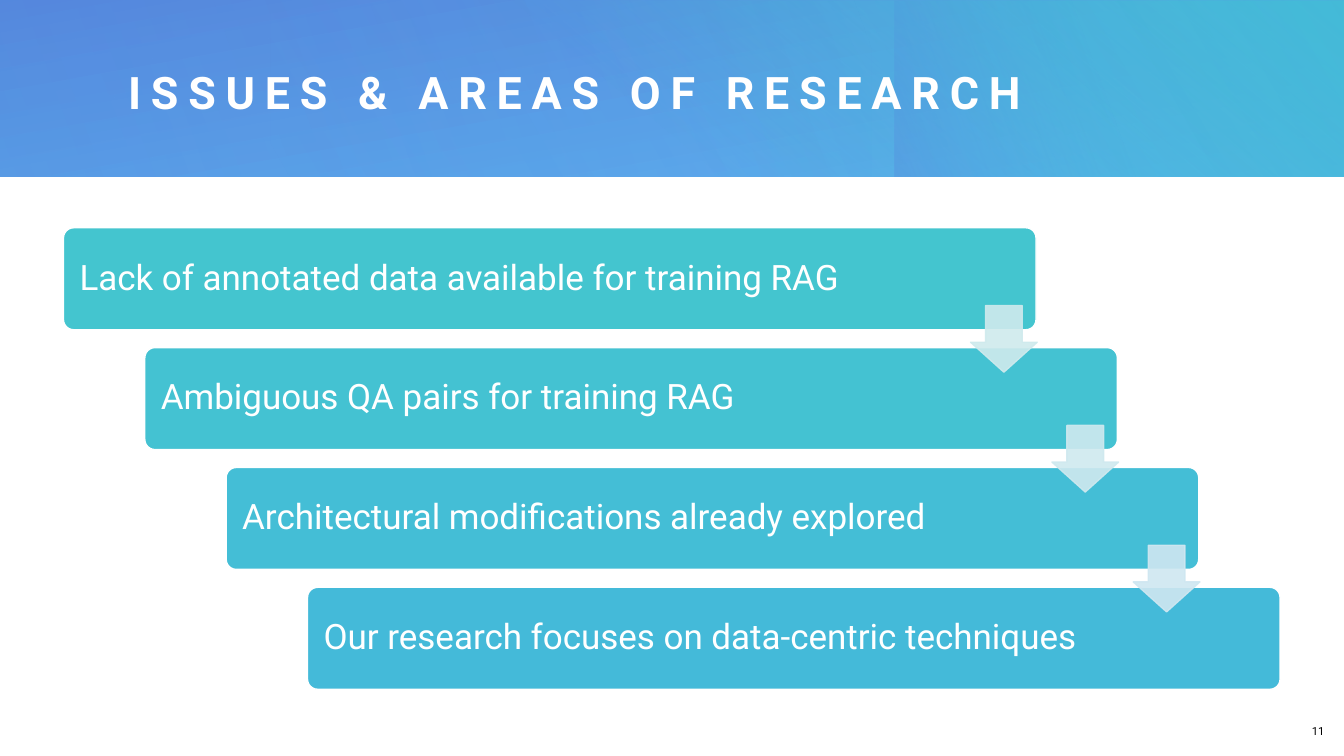
from lxml import etree
from pptx import Presentation
from pptx.dml.color import RGBColor
from pptx.enum.shapes import MSO_SHAPE
from pptx.enum.text import MSO_ANCHOR, PP_ALIGN
from pptx.oxml.ns import qn
from pptx.util import Cm, Pt

RECT, ROUND, ARROW = MSO_SHAPE.RECTANGLE, MSO_SHAPE.ROUNDED_RECTANGLE, MSO_SHAPE.DOWN_ARROW
MID = MSO_ANCHOR.MIDDLE
LEFT, RIGHT = PP_ALIGN.LEFT, PP_ALIGN.RIGHT

FONT = "Roboto"
WHITE = RGBColor(0xFF, 0xFF, 0xFF)
BLACK = RGBColor(0, 0, 0)
BLUE = RGBColor(0x45, 0xA5, 0xED)
SKY = RGBColor(0x45, 0xB0, 0xE3)
VIOLET = RGBColor(0x59, 0x82, 0xDB)
TEAL = RGBColor(0x44, 0xC5, 0xCF)

TITLE = "ISSUES & AREAS OF RESEARCH"
NUMBER = "11"
STEPS = [
    ("Lack of annotated data available for training RAG", TEAL),
    ("Ambiguous QA pairs for training RAG", RGBColor(0x44, 0xC2, 0xD2)),
    ("Architectural modifications already explored", RGBColor(0x44, 0xBE, 0xD6)),
    ("Our research focuses on data-centric techniques", RGBColor(0x44, 0xBA, 0xD9)),
]
ARROWS = [RGBColor(0xCF, 0xEA, 0xED), RGBColor(0xCF, 0xE9, 0xEF), RGBColor(0xCF, 0xE7, 0xF1)]

# Header layers: box in cm, rotation, gradient angle, stops (position %, colour, opacity %)
LAYERS = [
    ((0, 0, 33.87, 4.45), 0, 260, [(0, BLUE, 83), (100, VIOLET, 100)]),
    ((12.22, 0.02, 21.65, 4.43), 0, 310, [(22, TEAL, 0), (99, TEAL, 100)]),
    ((25.07, -2.52, 4.45, 9.5), 270, 250, [(45, SKY, 0), (99, VIOLET, 33)]),
    ((6.82, 0, 27.04, 4.45), 180, 330, [(0, BLUE, 30), (99, BLUE, 0)]),
    ((0, 0, 21.97, 4.45), 0, 340, [(0, BLUE, 21), (99, BLUE, 0)]),
]

CARD = (1.6, 5.74, 24.51, 2.57)
HEAD = (24.46, 7.7, 1.68, 1.68)
DX, DY = 2.05, 3.02


def node(up, tag, **attrs):
    return etree.SubElement(up, qn(tag), attrs)


def fade(fill, alpha):
    """Set the opacity, in percent, of a solid fill."""
    color = fill._xPr.find(qn("a:solidFill"))[0]
    node(color, "a:alpha", val=str(alpha * 1000))


def blend(shape, angle, stops):
    """Fill a shape with a linear gradient, its angle clockwise."""
    shape.fill.gradient()
    grad = shape.fill._xPr.find(qn("a:gradFill"))
    for child in list(grad):
        grad.remove(child)
    row = node(grad, "a:gsLst")
    for pos, color, alpha in stops:
        stop = node(row, "a:gs", pos=str(pos * 1000))
        tint = node(stop, "a:srgbClr", val=str(color))
        node(tint, "a:alpha", val=str(alpha * 1000))
    node(grad, "a:lin", ang=str(angle * 60000), scaled="0")


def draw(kind, box, color=None, line=None):
    shape = slide.shapes.add_shape(kind, *map(Cm, box))
    shape.shadow.inherit = False
    if color is not None:
        shape.fill.solid()
        shape.fill.fore_color.rgb = color
    if line is None:
        shape.line.fill.background()
    else:
        shape.line.color.rgb = line
        shape.line.width = Pt(1)
    return shape


def write(shape, text, size, color, pads, align=LEFT, space=0.9):
    frame = shape.text_frame
    frame.word_wrap = True
    frame.vertical_anchor = MID
    frame.margin_left, frame.margin_top, frame.margin_right, frame.margin_bottom = map(Cm, pads)
    para = frame.paragraphs[0]
    para.alignment = align
    para.line_spacing = space
    run = para.add_run()
    run.text = text
    run.font.name = FONT
    run.font.size = Pt(size)
    run.font.color.rgb = color
    return run


def shift(box, i):
    x, y, w, h = box
    return x + i * DX, y + i * DY, w, h


deck = Presentation()
deck.slide_width, deck.slide_height = Cm(33.87), Cm(19.05)
slide = deck.slides.add_slide(deck.slide_layouts[6])

for box, turn, angle, stops in LAYERS:
    layer = draw(RECT, box)
    layer.rotation = turn
    blend(layer, angle, stops)

title = slide.shapes.add_textbox(Cm(3.23), Cm(1.04), Cm(28.83), Cm(2.69))
run = write(title, TITLE, 32, WHITE, (0, 0, 0, 0))
run.font.bold = True
run.font._element.set("spc", "700")

page = slide.shapes.add_textbox(Cm(32.41), Cm(17.81), Cm(1.22), Cm(1.24))
write(page, NUMBER, 8, BLACK, (0.25, 0.13, 0.25, 0.13), RIGHT, 1.0)

for i, (text, color) in enumerate(STEPS):
    card = draw(ROUND, shift(CARD, i), color, WHITE)
    card.adjustments[0] = 0.1
    write(card, text, 25, WHITE, (0.33, 0.25, 0.33, 0.25))

for i, color in enumerate(ARROWS):
    arrow = draw(ARROW, shift(HEAD, i), color, color)
    arrow.adjustments[0] = 0.55
    arrow.adjustments[1] = 0.45
    fade(arrow.fill, 90)
    fade(arrow.line.fill, 90)

deck.save("out.pptx")
